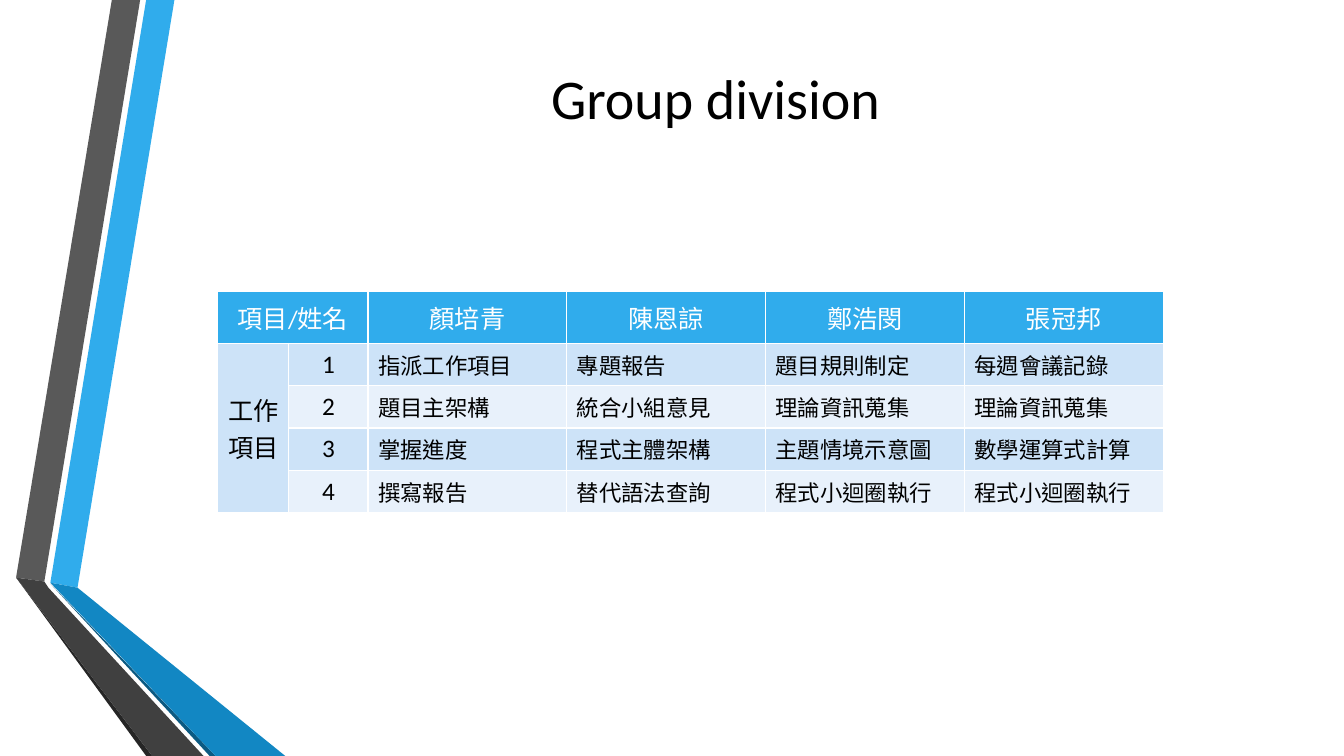
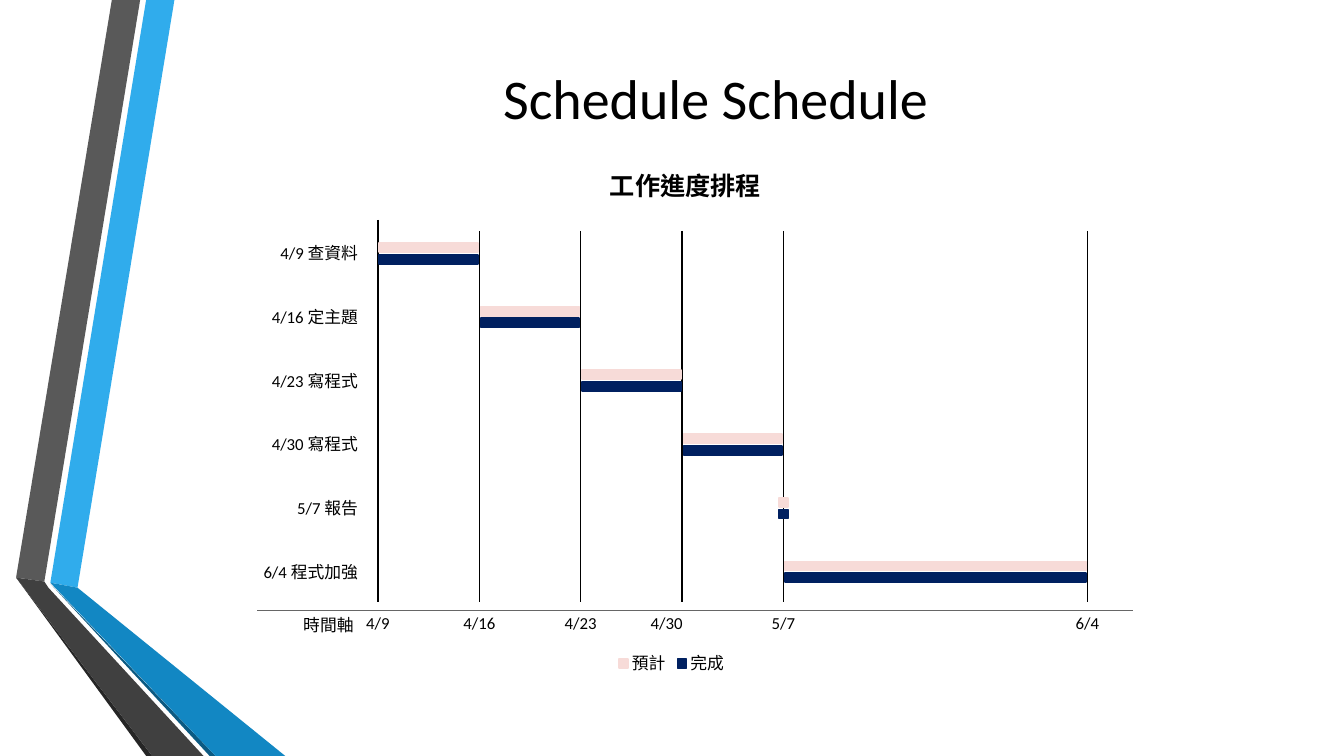
"""Build a two-slide deck with a work division table and a schedule."""
from lxml.etree import SubElement
from pptx import Presentation
from pptx.dml.color import RGBColor
from pptx.enum.lang import MSO_LANGUAGE_ID
from pptx.enum.shapes import MSO_CONNECTOR, MSO_SHAPE
from pptx.enum.text import MSO_ANCHOR, PP_ALIGN
from pptx.oxml import parse_xml
from pptx.oxml.ns import nsdecls, qn
from pptx.util import Pt

FONT = "Calibri"
BLACK = RGBColor(0x00, 0x00, 0x00)
WHITE = RGBColor(0xFF, 0xFF, 0xFF)
SKY = RGBColor(0x30, 0xAC, 0xEC)
OCEAN = RGBColor(0x12, 0x87, 0xC3)
DEEP = RGBColor(0x0C, 0x5A, 0x82)
GREY = RGBColor(0x59, 0x59, 0x59)
CHARCOAL = RGBColor(0x40, 0x40, 0x40)
SOOT = RGBColor(0x26, 0x26, 0x26)
AXIS = RGBColor(0x66, 0x66, 0x66)
BAND_DARK = RGBColor(0xCD, 0xE3, 0xF8)
BAND_LIGHT = RGBColor(0xE8, 0xF1, 0xFB)
PINK = RGBColor(0xF7, 0xDB, 0xD8)
NAVY = RGBColor(0x00, 0x20, 0x60)

RIBBONS = [
    (SKY, [(36, 416.2), (55.4, 419.8), (124.6, 0), (104.4, 0)]),
    (GREY, [(100.1, 0), (79.9, 0), (11.5, 412.6), (31.7, 415.4)]),
    (SOOT, [(11.5, 412.6), (104.4, 540), (108.7, 540)]),
    (DEEP, [(36, 416.9), (149.8, 540), (154.1, 540)]),
    (OCEAN, [(36, 416.2), (154.1, 540), (203.8, 540), (55.4, 419.8)]),
    (CHARCOAL, [(145.4, 540), (34.6, 419.8), (31.7, 415.4),
                (11.5, 412.6), (108.7, 540)]),
]

HEADER = ["項目/姓名", "", "顏培青", "陳恩諒", "鄭浩閔", "張冠邦"]
SIDE_HEADING = "工作項目"
DUTIES = [
    ["指派工作項目", "專題報告", "題目規則制定", "每週會議記錄"],
    ["題目主架構", "統合小組意見", "理論資訊蒐集", "理論資訊蒐集"],
    ["掌握進度", "程式主體架構", "主題情境示意圖", "數學運算式計算"],
    ["撰寫報告", "替代語法查詢", "程式小迴圈執行", "程式小迴圈執行"],
]
COLUMN_WIDTHS = [50.8, 56.6] + [142] * 4
ROW_HEIGHTS = [37] + [30.2] * 4

CHART_TITLE = "工作進度排程"
AXIS_NAME = "時間軸"
TICKS = [("4/9", 0, 0), ("4/16", 1, 0), ("4/23", 2, 0),
         ("4/30", 3, -11), ("5/7", 4, 0), ("6/4", 7, 0)]
TASKS = [("4/9 查資料", 0, 1), ("4/16 定主題", 1, 2), ("4/23 寫程式", 2, 3),
         ("4/30 寫程式", 3, 4), ("5/7 報告", 4, 4), ("6/4 程式加強", 4, 7)]
LEGEND = [("預計", PINK, 442.2), ("完成", NAVY, 483.9)]
AXIS_LEFT, STEP_WIDTH = 270, 72.4
FIRST_BAR_TOP, TASK_PITCH = 173.5, 45.5
BAR_HEIGHT, BAR_OFFSET = 6.5, 8.4


def add_span(para, text, size, color=BLACK, bold=False):
    span = para.add_run()
    span.text = text
    span.font.name = FONT
    span.font.size = Pt(size)
    span.font.bold = bold
    span.font.color.rgb = color
    span.font.language_id = MSO_LANGUAGE_ID.TRADITIONAL_CHINESE
    return span


def add_text(page, text, left, top, width, height=21.6, size=12,
             align=PP_ALIGN.LEFT, anchor=MSO_ANCHOR.TOP, bold=False):
    box = page.shapes.add_textbox(Pt(left), Pt(top), Pt(width), Pt(height))
    box.text_frame.word_wrap = True
    box.text_frame.vertical_anchor = anchor
    para = box.text_frame.paragraphs[0]
    para.alignment = align
    return add_span(para, text, size, bold=bold)


def add_line(page, x1, y1, x2, y2, color=BLACK, width=1):
    line = page.shapes.add_connector(
        MSO_CONNECTOR.STRAIGHT, Pt(x1), Pt(y1), Pt(x2), Pt(y2))
    line.line.color.rgb = color
    line.line.width = Pt(width)
    SubElement(line._element.spPr, qn("a:effectLst"))


def add_bar(page, left, top, width, color):
    bar = page.shapes.add_shape(
        MSO_SHAPE.RECTANGLE, Pt(left), Pt(top), Pt(width), Pt(BAR_HEIGHT))
    bar.shadow.inherit = False
    bar.fill.solid()
    bar.fill.fore_color.rgb = color
    bar.line.color.rgb = color
    bar.line.width = Pt(1.25)


def add_page(deck, title):
    page = deck.slides.add_slide(deck.slide_layouts[6])
    for color, corners in RIBBONS:
        start, *rest = [(Pt(x), Pt(y)) for x, y in corners]
        builder = page.shapes.build_freeform(*start)
        builder.add_line_segments(rest, close=True)
        ribbon = builder.convert_to_shape()
        ribbon.shadow.inherit = False
        ribbon.fill.solid()
        ribbon.fill.fore_color.rgb = color
        ribbon.line.fill.background()
    add_text(page, title, 116.6, 0, 789, 138.2, 40,
             PP_ALIGN.CENTER, MSO_ANCHOR.MIDDLE)
    return page


def style_cell(cell, fill):
    properties = cell._tc.get_or_add_tcPr()
    for side in ("lnL", "lnR", "lnT", "lnB"):
        properties.append(parse_xml(
            f'<a:{side} {nsdecls("a")} w="{Pt(1)}"><a:solidFill>'
            f'<a:srgbClr val="{WHITE}"/></a:solidFill></a:{side}>'))
    cell.fill.solid()
    cell.fill.fore_color.rgb = fill
    cell.vertical_anchor = MSO_ANCHOR.MIDDLE


def build_division(deck):
    page = add_page(deck, "Group division")
    rows = [HEADER]
    for number, duties in enumerate(DUTIES, 1):
        rows.append([SIDE_HEADING if number == 1 else "", str(number)] + duties)
    table = page.shapes.add_table(
        len(rows), len(HEADER), Pt(155.5), Pt(208.4),
        Pt(sum(COLUMN_WIDTHS)), Pt(sum(ROW_HEIGHTS))).table
    table.first_row = False
    table.horz_banding = False
    for column, width in zip(table.columns, COLUMN_WIDTHS):
        column.width = Pt(width)
    for row, height in zip(table.rows, ROW_HEIGHTS):
        row.height = Pt(height)
    for r, texts in enumerate(rows):
        band = SKY if r == 0 else BAND_DARK if r % 2 else BAND_LIGHT
        for c, text in enumerate(texts):
            cell = table.cell(r, c)
            style_cell(cell, band)
            is_duty = r > 0 and c > 1
            para = cell.text_frame.paragraphs[0]
            para.alignment = PP_ALIGN.LEFT if is_duty else PP_ALIGN.CENTER
            if text:
                add_span(para, text, 16 if is_duty else 18,
                         BLACK if r else WHITE)
    table.cell(0, 0).merge(table.cell(0, 1))
    side = table.cell(1, 0)
    side.merge(table.cell(len(DUTIES), 0))
    side._tc.get_or_add_tcPr().set("vert", "eaVert")


def tick_x(step):
    return AXIS_LEFT + step * STEP_WIDTH


def build_schedule(deck):
    page = add_page(deck, "Schedule Schedule")
    span = add_text(page, CHART_TITLE, 419.7, 118.1, 140, 29, 18,
                    PP_ALIGN.CENTER, bold=True)
    shadow = parse_xml(
        f'<a:effectLst {nsdecls("a")}><a:outerShdw blurRad="{Pt(3)}" '
        f'dist="{Pt(3)}" dir="2700000"><a:srgbClr val="{BLACK}">'
        '<a:alpha val="43000"/></a:srgbClr></a:outerShdw></a:effectLst>')
    span._r.get_or_add_rPr().find(qn("a:solidFill")).addnext(shadow)

    for label, step, shift in TICKS:
        x = tick_x(step)
        add_line(page, x, 165 if step else 157, x, 430)
        add_text(page, label, x + shift - 25, 434.2, 50,
                 align=PP_ALIGN.CENTER)
    add_line(page, 183.6, 436.3, 809.3, 436.3, AXIS, 0.75)
    add_text(page, AXIS_NAME, 209.5, 435.6, 54)

    for index, (label, start, end) in enumerate(TASKS):
        top = FIRST_BAR_TOP + index * TASK_PITCH
        if end > start:
            left, width = tick_x(start) + 1, (end - start) * STEP_WIDTH - 2
        else:
            left, width = tick_x(start) - BAR_HEIGHT / 2, BAR_HEIGHT
        add_bar(page, left, top, width, PINK)
        add_bar(page, left, top + BAR_OFFSET, width, NAVY)
        add_text(page, label, 162.8, top - 3.5, 100, align=PP_ALIGN.RIGHT)

    for label, color, left in LEGEND:
        add_bar(page, left, 470.9, BAR_HEIGHT, color)
        add_text(page, label, left + 2.1, 463, 45)


def main():
    deck = Presentation()
    deck.slide_width, deck.slide_height = Pt(960), Pt(540)
    build_division(deck)
    build_schedule(deck)
    deck.save("out.pptx")


if __name__ == "__main__":
    main()
